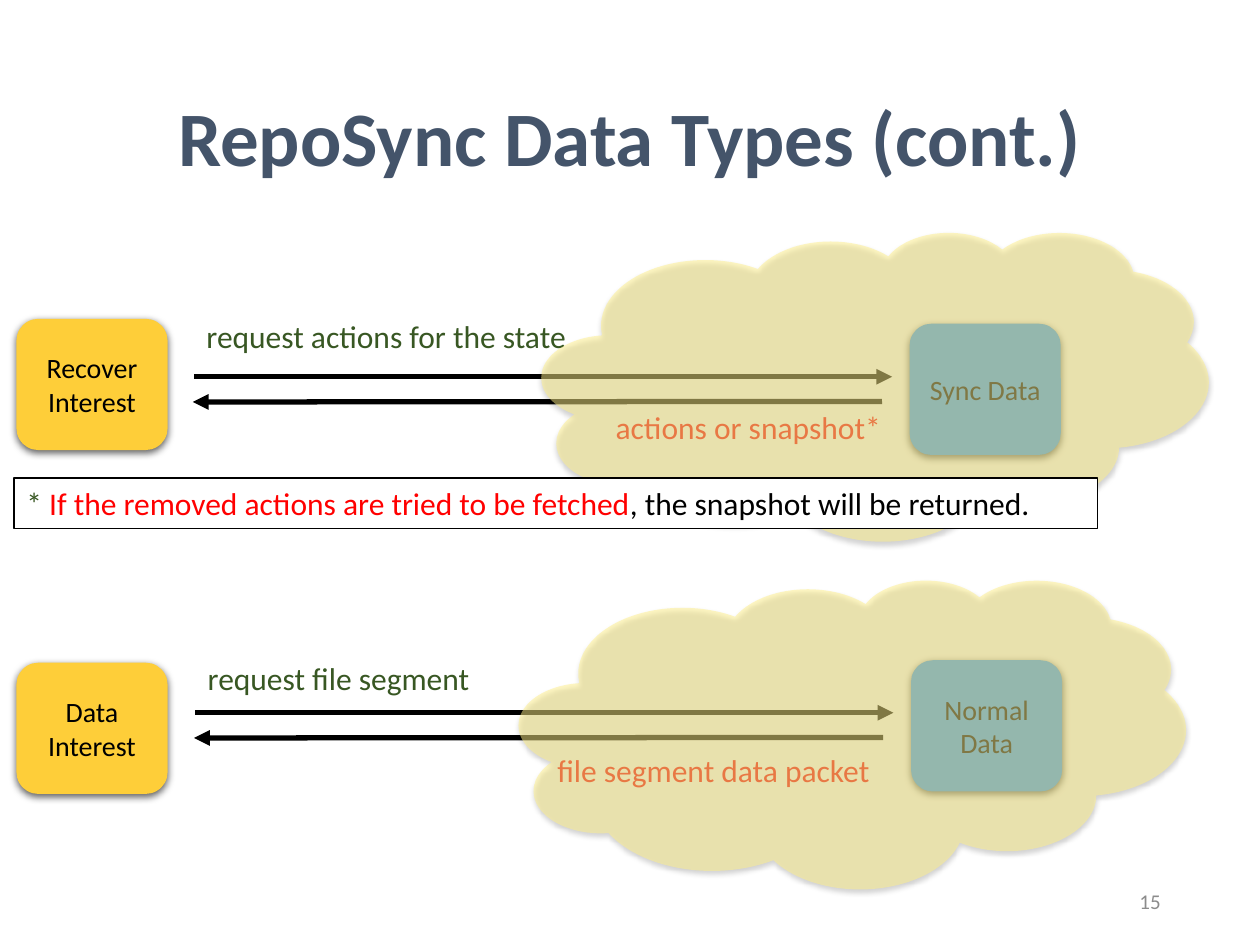
from lxml.etree import SubElement
from pptx import Presentation
from pptx.dml.color import RGBColor
from pptx.enum.shapes import MSO_CONNECTOR as Connector, MSO_SHAPE as Shape
from pptx.enum.text import MSO_ANCHOR as Anchor, PP_ALIGN as Align
from pptx.oxml.ns import qn
from pptx.util import Pt

BLACK = RGBColor(0x00, 0x00, 0x00)
WHITE = RGBColor(0xFF, 0xFF, 0xFF)
SLATE = RGBColor(0x44, 0x54, 0x6A)
BLUE = RGBColor(0x33, 0x99, 0xFF)
YELLOW = RGBColor(0xFE, 0xCE, 0x39)
CLOUD = RGBColor(0xFF, 0xF0, 0x89)
GREEN = RGBColor(0x38, 0x57, 0x23)
RED = RGBColor(0xFF, 0x00, 0x00)
GRAY = RGBColor(0x8C, 0x8C, 0x8C)

FONT = "Calibri"
BOX_WIDTH, BOX_HEIGHT = 86.4, 75
CLOUD_WIDTH, CLOUD_HEIGHT = 381, 176.4
LABEL_HEIGHT = 29


def format_run(run, size, color, bold=False):
    run.font.name = FONT
    run.font.size = Pt(size)
    run.font.bold = bold
    run.font.color.rgb = color


def format_text(text_frame, size, color, align, bold=False):
    for paragraph in text_frame.paragraphs:
        paragraph.alignment = align
        for run in paragraph.runs:
            format_run(run, size, color, bold)


def add_filled_shape(slide, kind, left, top, width, height, color):
    shape = slide.shapes.add_shape(kind, Pt(left), Pt(top), Pt(width), Pt(height))
    shape.fill.solid()
    shape.fill.fore_color.rgb = color
    shape.line.fill.background()
    shape.shadow.inherit = False
    return shape


def set_alpha(color_element, percent):
    SubElement(color_element, qn("a:alpha"), val=str(percent * 1000))


def add_shadow(shape, blur, distance, opacity):
    effects = shape._element.spPr.find(qn("a:effectLst"))
    shadow = SubElement(effects, qn("a:outerShdw"), blurRad=str(Pt(blur)),
                        dist=str(Pt(distance)), dir="5400000", rotWithShape="0")
    set_alpha(SubElement(shadow, qn("a:srgbClr"), val=str(BLACK)), opacity)


def add_box(slide, text, left, top, color):
    box = add_filled_shape(slide, Shape.ROUNDED_RECTANGLE, left, top,
                           BOX_WIDTH, BOX_HEIGHT, color)
    add_shadow(box, 4.5, 1.5, 63)
    frame = box.text_frame
    frame.margin_left = frame.margin_right = 0
    frame.margin_top = frame.margin_bottom = 0
    frame.vertical_anchor = Anchor.MIDDLE
    frame.text = text
    format_text(frame, 16, BLACK, Align.CENTER)


def add_cloud(slide, left, top):
    cloud = add_filled_shape(slide, Shape.CLOUD, left, top,
                             CLOUD_WIDTH, CLOUD_HEIGHT, CLOUD)
    set_alpha(cloud._element.spPr.find(f"{qn('a:solidFill')}/{qn('a:srgbClr')}"), 50)
    add_shadow(cloud, 3.1, 1.8, 35)


def add_arrow(slide, start_x, start_y, end_x, end_y):
    arrow = slide.shapes.add_connector(Connector.STRAIGHT, Pt(start_x), Pt(start_y),
                                       Pt(end_x), Pt(end_y))
    arrow.line.color.rgb = BLACK
    arrow.line.width = Pt(3)
    SubElement(arrow.line._get_or_add_ln(), qn("a:tailEnd"), type="triangle")
    SubElement(arrow._element.spPr, qn("a:effectLst"))


def add_label(slide, text, left, top, width, color, align, size=18, anchor=Anchor.TOP):
    label = slide.shapes.add_textbox(Pt(left), Pt(top), Pt(width), Pt(LABEL_HEIGHT))
    frame = label.text_frame
    frame.word_wrap = True
    frame.vertical_anchor = anchor
    frame.text = text
    format_text(frame, size, color, align)


def add_note(slide, parts):
    note = add_filled_shape(slide, Shape.RECTANGLE, 8, 273, 619.2, LABEL_HEIGHT, WHITE)
    note.line.color.rgb = BLACK
    note.line.width = Pt(1)
    note.text_frame.vertical_anchor = Anchor.TOP
    paragraph = note.text_frame.paragraphs[0]
    paragraph.alignment = Align.LEFT
    for text, color in parts:
        run = paragraph.add_run()
        run.text = text
        format_run(run, 18, color)


def add_title(slide, text):
    title = slide.shapes.title
    title.left, title.top, title.width, title.height = Pt(49.5), Pt(28.8), Pt(621), Pt(104.4)
    title.text_frame.vertical_anchor = Anchor.MIDDLE
    title.text_frame.text = text
    title.text_frame.paragraphs[0].line_spacing = 0.9
    format_text(title.text_frame, 44, SLATE, Align.CENTER, bold=True)


def main():
    presentation = Presentation()
    presentation.slide_width, presentation.slide_height = Pt(720), Pt(540)
    slide = presentation.slides.add_slide(presentation.slide_layouts[5])
    add_title(slide, "RepoSync Data Types (cont.)")

    add_box(slide, "Sync Data", 519.8, 185, BLUE)
    add_arrow(slide, 110.9, 215.3, 509.8, 215.3)
    add_arrow(slide, 504, 229.4, 110.2, 229.7)
    add_label(slide, "request actions for the state", 110.9, 177.8, 394.6, GREEN, Align.LEFT)
    add_label(slide, "actions or snapshot*", 114.5, 229.7, 396, RED, Align.RIGHT)

    add_box(slide, "Normal\nData", 520.6, 377.3, BLUE)
    add_arrow(slide, 111.6, 407.3, 510.5, 407.3)
    add_arrow(slide, 504.7, 421.4, 110.9, 421.7)
    add_label(slide, "request file segment", 111.6, 373, 373.7, GREEN, Align.LEFT)
    add_label(slide, "file segment data packet", 110.9, 425.5, 393.1, RED, Align.RIGHT)

    add_box(slide, "Recover Interest", 9.4, 182.2, YELLOW)
    add_box(slide, "Data\nInterest", 9.4, 378.7, YELLOW)
    add_cloud(slide, 309.6, 132.5)
    add_cloud(slide, 296.6, 331.2)

    add_note(slide, [("* ", GREEN),
                     ("If the removed actions are tried to be fetched", RED),
                     (", the snapshot will be returned.", BLACK)])
    add_label(slide, "15", 508.3, 500.4, 162, GRAY, Align.RIGHT, 12, Anchor.MIDDLE)
    presentation.save("out.pptx")


if __name__ == "__main__":
    main()
